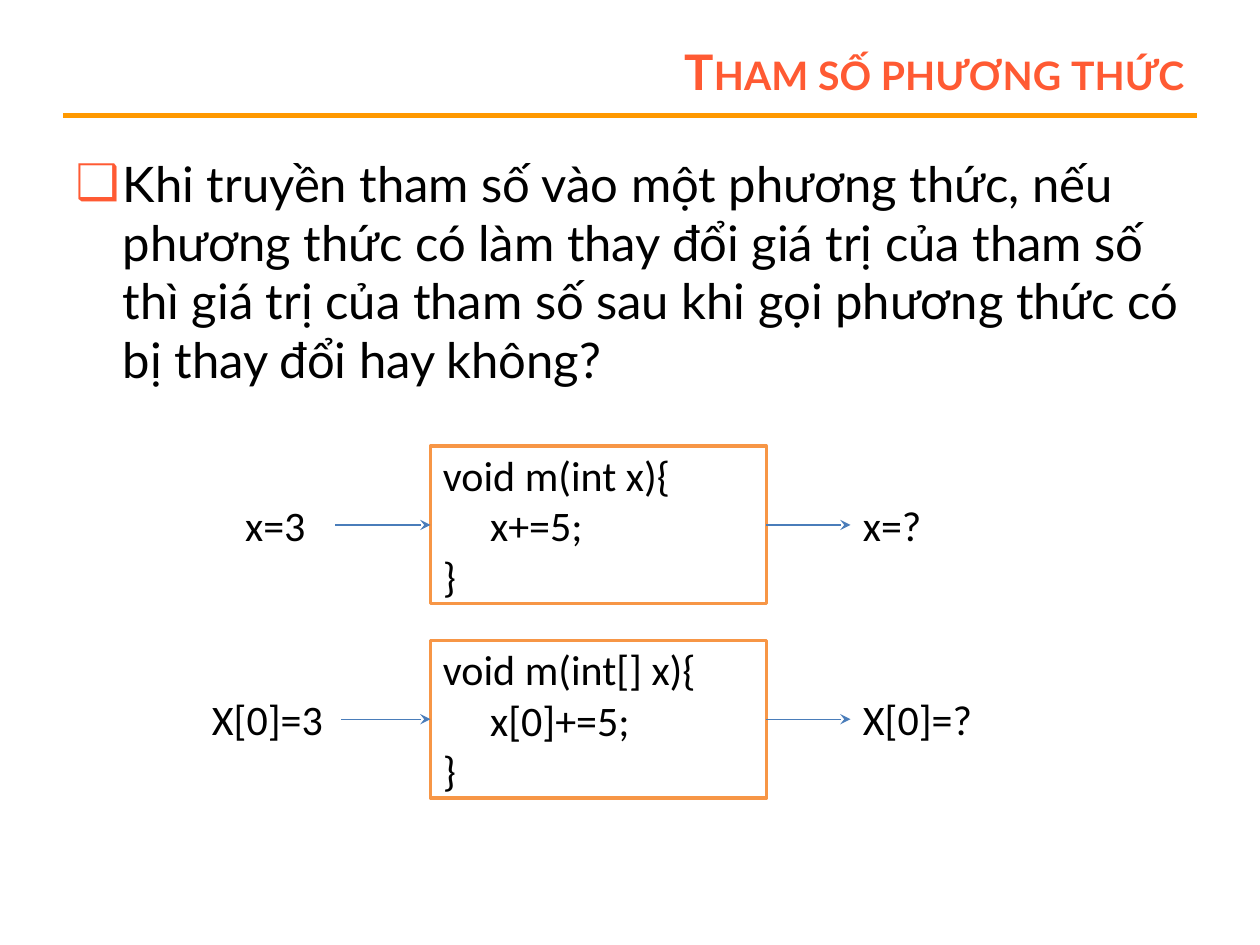
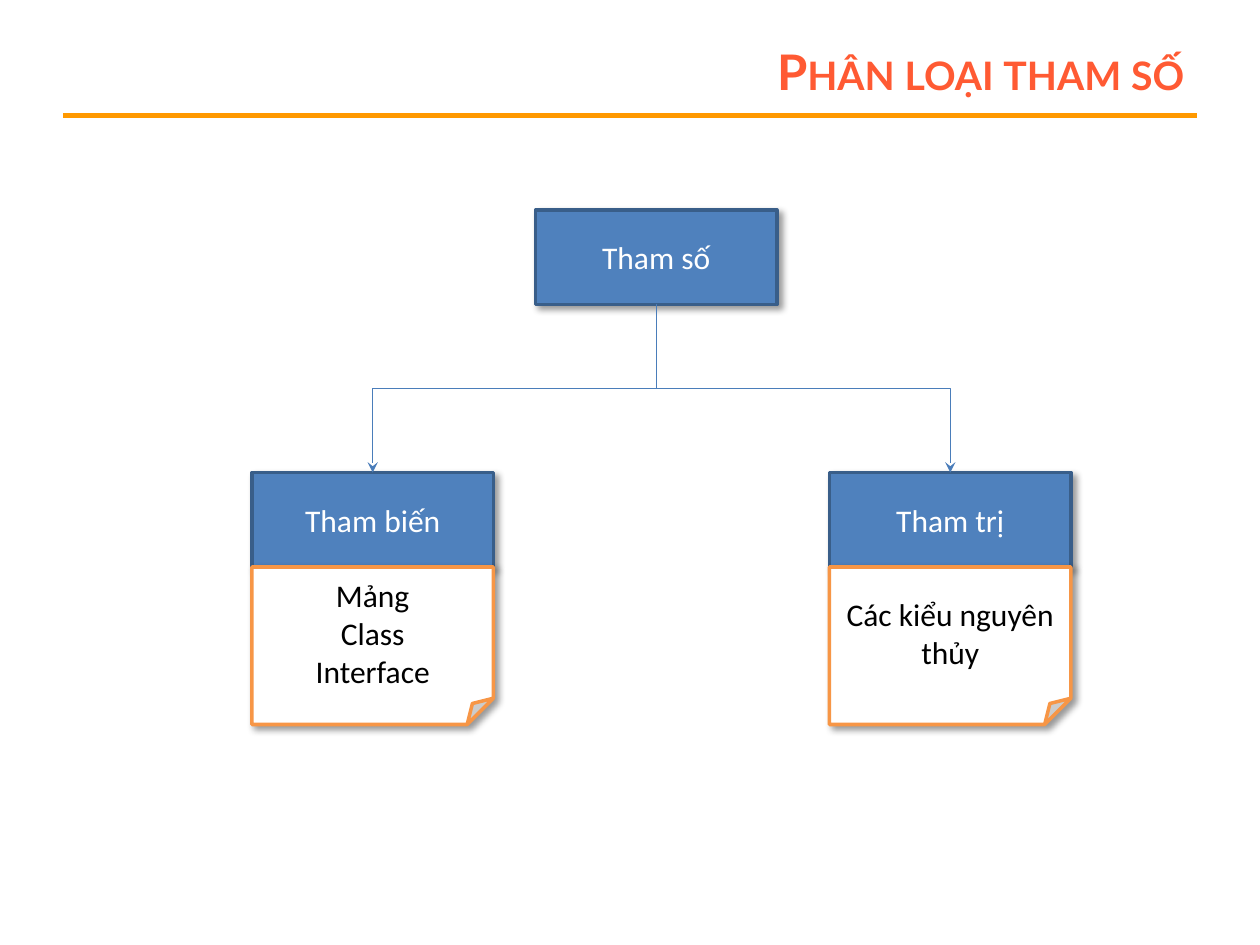
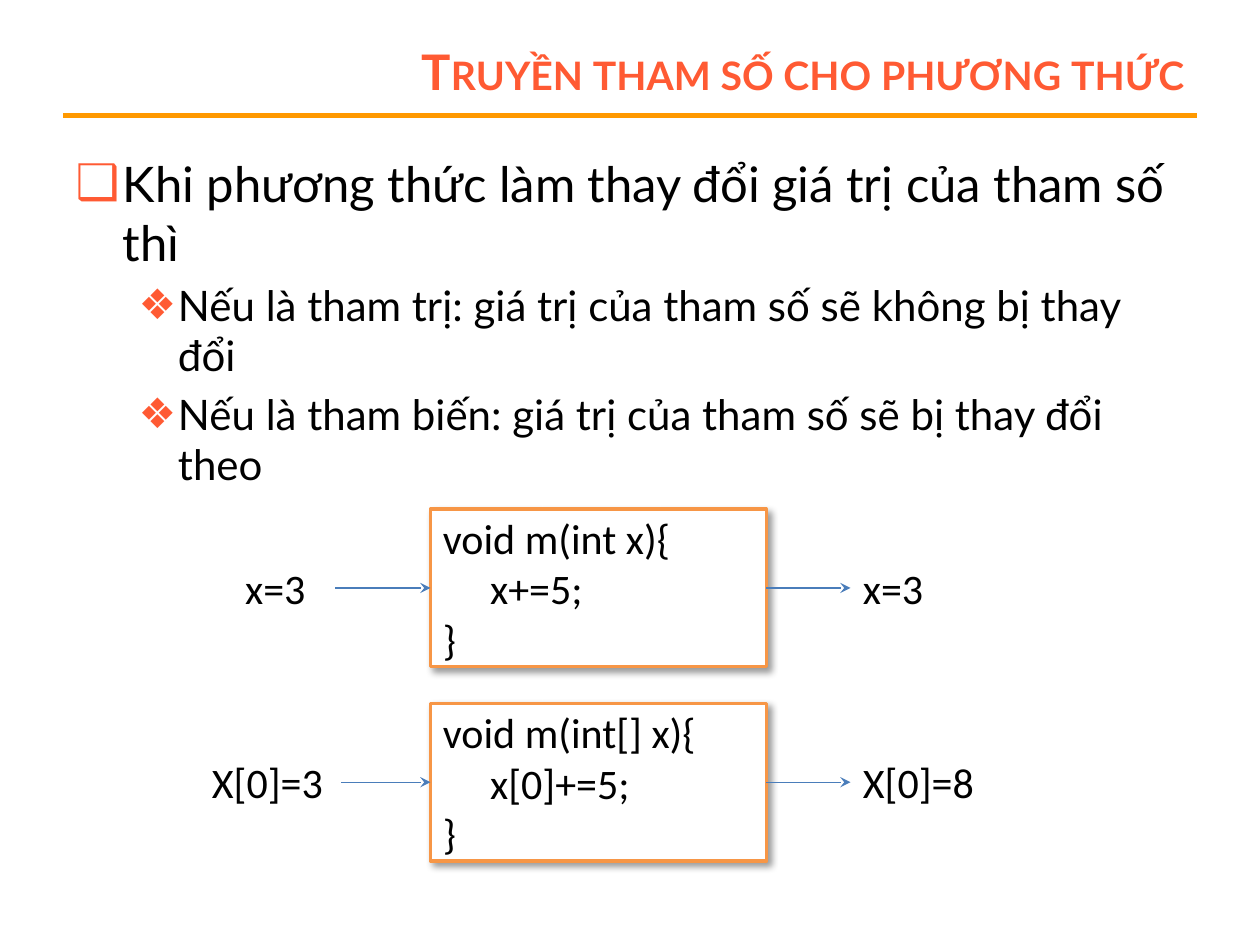
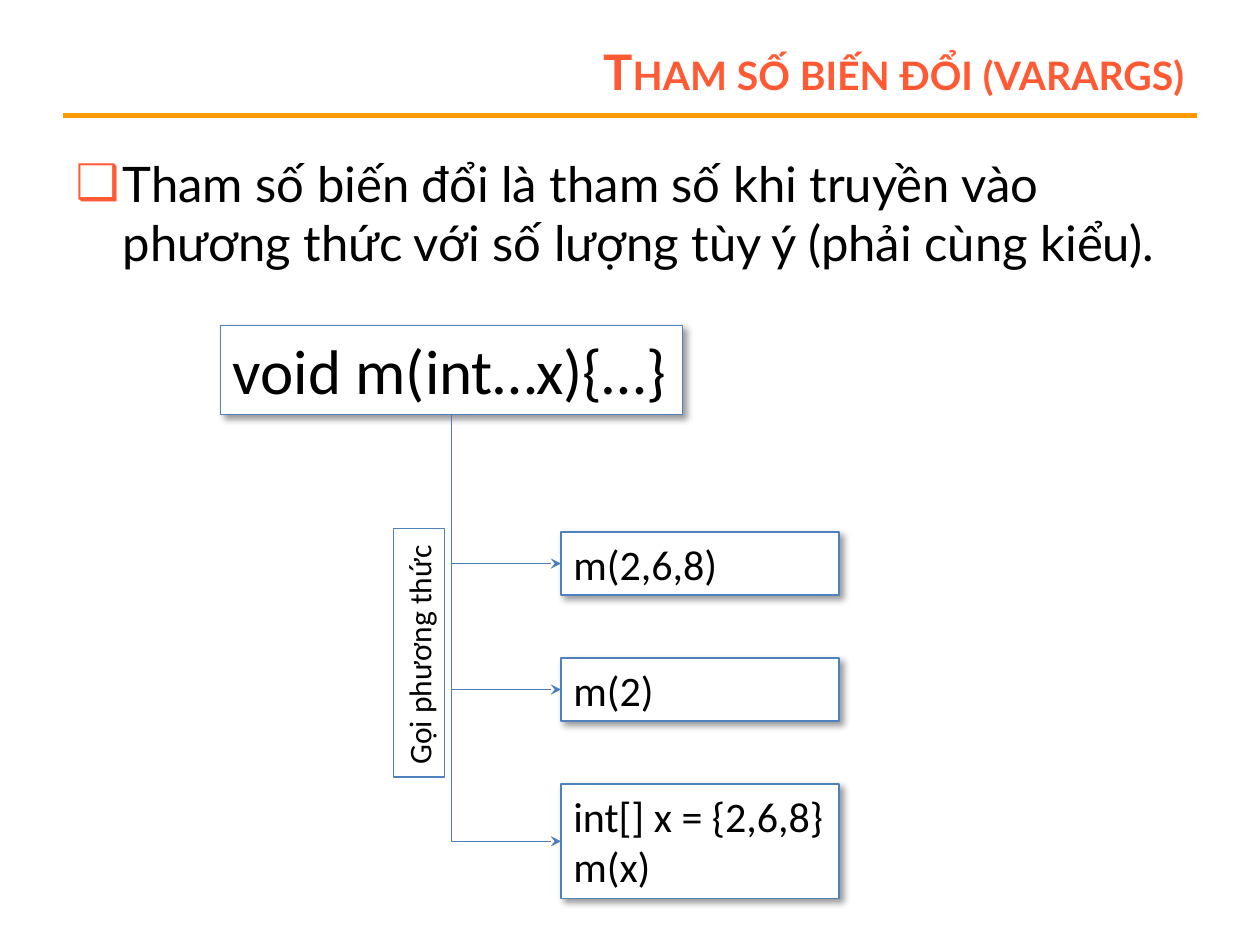
import lxml.etree
import pptx
import pptx.dml.color
import pptx.enum.shapes
import pptx.enum.text
import pptx.oxml.ns
import pptx.util

Pt = pptx.util.Pt
qn = pptx.oxml.ns.qn
Kind = pptx.enum.shapes.MSO_SHAPE
Link = pptx.enum.shapes.MSO_CONNECTOR
Side = pptx.enum.text.PP_ALIGN
Hold = pptx.enum.text.MSO_ANCHOR
Fit = pptx.enum.text.MSO_AUTO_SIZE

LEFT, RIGHT = 1, 3
INK, WHITE, CORAL, AMBER = "000000", "FFFFFF", "FF5A33", "FF9900"
ORANGE, BLUE, NAVY, WIRE = "F79646", "4F81BD", "395E89", "4A7DBA"


def hue(code):
    return pptx.dml.color.RGBColor.from_string(code)


def put(target, form):
    for name, value in form.items():
        setattr(target, name, value)


def add(parent, tag, **attrs):
    node = lxml.etree.SubElement(parent, qn(tag))
    for name, value in attrs.items():
        node.set(name, str(value))
    return node


def indent(shape, row, left, first=0):
    para = list(shape.element.iter(qn("a:p")))[row]
    props = para.get_or_add_pPr()
    props.set("marL", str(Pt(left)))
    props.set("indent", str(Pt(first)))
    return props


class Deck:
    """Hold the shared style and the current slide."""

    face = "Calibri"
    head = "Lato"
    levels = [
        {"size": 28, "left": 27, "first": -27, "before": 0, "mark": "❑"},
        {"size": 24, "left": 58.5, "first": -22.5, "before": 4.8, "mark": "❖"},
    ]

    def __init__(self):
        self.prs = pptx.Presentation()
        put(self.prs, {"slide_width": Pt(720), "slide_height": Pt(540)})
        self.slide = None

    def place(self, shape, left, top, width, height):
        put(shape, {"left": Pt(left), "top": Pt(top),
                    "width": Pt(width), "height": Pt(height)})

    def words(self, shape, lines, size, code=INK, align=Side.LEFT,
              anchor=Hold.TOP, fit=Fit.NONE, face=None, bold=False):
        frame = shape.text_frame
        frame.text = "\n".join(lines)
        put(frame, {"word_wrap": True, "auto_size": fit, "vertical_anchor": anchor})
        for para in frame.paragraphs:
            para.alignment = align
            for run in para.runs:
                put(run.font, {"size": Pt(size), "name": face or self.face, "bold": bold})
                run.font.color.rgb = hue(code)

    def page(self, title, layout=1):
        self.slide = self.prs.slides.add_slide(self.prs.slide_layouts[layout])
        shape = self.slide.shapes.title
        self.place(shape, 162, 21.6, 522, 38)
        self.words(shape, [title], 28, CORAL, Side.RIGHT, Hold.MIDDLE,
                   face=self.head, bold=True)
        for props in shape.element.iter(qn("a:rPr")):
            props.set("cap", "small")

    def rule(self):
        line = self.line(Link.STRAIGHT, 36, 66, 684, 66, AMBER, 3)
        self.prs.slide_master.shapes.element.append(line.element)

    def body(self, height, items):
        shape = self.slide.placeholders[1]
        self.place(shape, 36, 84, 648, height)
        self.words(shape, [text for depth, text in items], 28, face=self.head)
        for row, (depth, text) in enumerate(items):
            level = self.levels[depth]
            para = shape.text_frame.paragraphs[row]
            put(para, {"level": depth, "space_before": Pt(level["before"])})
            para.runs[0].font.size = Pt(level["size"])
            props = indent(shape, row, level["left"], level["first"])
            add(add(props, "a:buClr"), "a:srgbClr", val=CORAL)
            add(props, "a:buChar", char=level["mark"])

    def box(self, spot, lines, size=18, kind=Kind.RECTANGLE, fill=WHITE,
            edge=ORANGE, weight=2, shade=True, **form):
        shape = self.slide.shapes.add_shape(kind, *map(Pt, spot))
        shape.fill.solid()
        shape.fill.fore_color.rgb = hue(fill)
        shape.line.color.rgb = hue(edge)
        shape.line.width = Pt(weight)
        shape.shadow.inherit = False
        if shade:
            glow = add(shape.element.spPr.find(qn("a:effectLst")), "a:outerShdw",
                       blurRad=Pt(4), dist=Pt(3), dir=45 * 60000,
                       algn="tl", rotWithShape=0)
            add(add(glow, "a:srgbClr", val=INK), "a:alpha", val=40000)
        self.words(shape, lines, size, **form)
        return shape

    def label(self, spot, text):
        shape = self.slide.shapes.add_textbox(*map(Pt, spot))
        self.words(shape, [text], 24, fit=Fit.SHAPE_TO_FIT_TEXT)
        return shape

    def line(self, kind, x1, y1, x2, y2, code=WIRE, weight=0.75):
        line = self.slide.shapes.add_connector(kind, Pt(x1), Pt(y1), Pt(x2), Pt(y2))
        line.line.color.rgb = hue(code)
        line.line.width = Pt(weight)
        add(line.element.spPr, "a:effectLst")
        return line

    def tip(self, line):
        add(line.element.spPr.find(qn("a:ln")), "a:tailEnd", type="stealth")

    def arrow(self, start, end):
        line = self.line(Link.STRAIGHT, 0, 0, 0, 0)
        line.begin_connect(start, RIGHT)
        line.end_connect(end, LEFT)
        self.tip(line)

    def bend(self, x1, y1, x2, y2, preset="bentConnector3"):
        long, wide = y2 - y1, abs(x2 - x1)
        left, top = (x1 + x2 - long) / 2, (y1 + y2 - wide) / 2
        line = self.line(Link.ELBOW, left, top, left + long, top + wide)
        props = line.element.spPr
        props.find(qn("a:prstGeom")).set("prst", preset)
        frame = props.find(qn("a:xfrm"))
        frame.set("rot", str((90 if x2 < x1 else 270) * 60000))
        if x2 > x1:
            frame.set("flipH", "1")
        self.tip(line)

    def flow(self, top, code, given, result, shade):
        (left, width, start), (end, size) = given, result
        box = self.box((246, top, 192, 90), code, 24, shade=shade, anchor=Hold.MIDDLE)
        indent(box, 1, 27)
        before = self.label((left, top + 27, width, 36), start)
        after = self.label((486, top + 27, size, 36), end)
        self.arrow(box, after)
        self.arrow(before, box)

    def flows(self, top, value, item, shade):
        self.flow(top, ["void m(int x){", "x+=5;", "}"],
                  (133, 58.5, "x=3"), (value, 50), shade)
        self.flow(top + 111, ["void m(int[] x){", "x[0]+=5;", "}"],
                  (114, 81, "X[0]=3"), (item, 108), shade)


def main():
    deck = Deck()

    deck.page("Tham số phương thức")
    deck.rule()
    deck.body(150, [(0, "Khi truyền tham số vào một phương thức, nếu phương thức có làm "
                        "thay đổi giá trị của tham số thì giá trị của tham số sau khi gọi "
                        "phương thức có bị thay đổi hay không?")])
    deck.flows(255, "x=?", "X[0]=?", False)

    deck.page("Phân loại tham số", 5)
    mid = {"align": Side.CENTER, "anchor": Hold.MIDDLE}
    node = {"fill": BLUE, "edge": NAVY, "code": WHITE, **mid}
    deck.box((306, 120, 138, 54), ["Tham số"], **node)
    kinds = [(144, "Tham biến", ["Mảng", "Class", "Interface"]),
             (474, "Tham trị", ["Các kiểu nguyên thủy"])]
    for left, name, notes in kinds:
        deck.box((left, 270, 138, 54), [name], **node)
        deck.box((left, 324, 138, 90), notes, kind=Kind.FOLDED_CORNER, **mid)
        deck.bend(375, 174, left + 69, 270)

    deck.page("Truyền tham số cho phương thức")
    deck.body(414, [(0, "Khi phương thức làm thay đổi giá trị của tham số thì"),
                    (1, "Nếu là tham trị: giá trị của tham số sẽ không bị thay đổi"),
                    (1, "Nếu là tham biến: giá trị của tham số sẽ bị thay đổi theo")])
    deck.flows(291, "x=3", "X[0]=8", True)

    deck.page("Tham số biến đổi (varargs)")
    deck.body(78, [(0, "Tham số biến đổi là tham số khi truyền vào phương thức với "
                       "số lượng tùy ý (phải cùng kiểu).")])
    thin = {"edge": BLUE, "weight": 0.75, "fit": Fit.SHAPE_TO_FIT_TEXT}
    deck.box((126, 186, 264, 51), ["void m(int…x){…}"], 36, **thin)
    calls = [(36, ["m(2,6,8)"]), (36, ["m(2)"]), (65.5, ["int[] x = {2,6,8}", "m(x)"])]
    for row, (height, lines) in enumerate(calls):
        top = 304 + 72 * row
        deck.box((320.5, top, 159, height), lines, 24, **thin)
        deck.bend(258, 237, 320.5, top + height / 2, "bentConnector2")
    tag = deck.box((168.5, 358.5, 142, 29), ["Gọi phương thức"], shade=False, **thin)
    tag.rotation = 270

    deck.prs.save("out.pptx")


if __name__ == "__main__":
    main()
